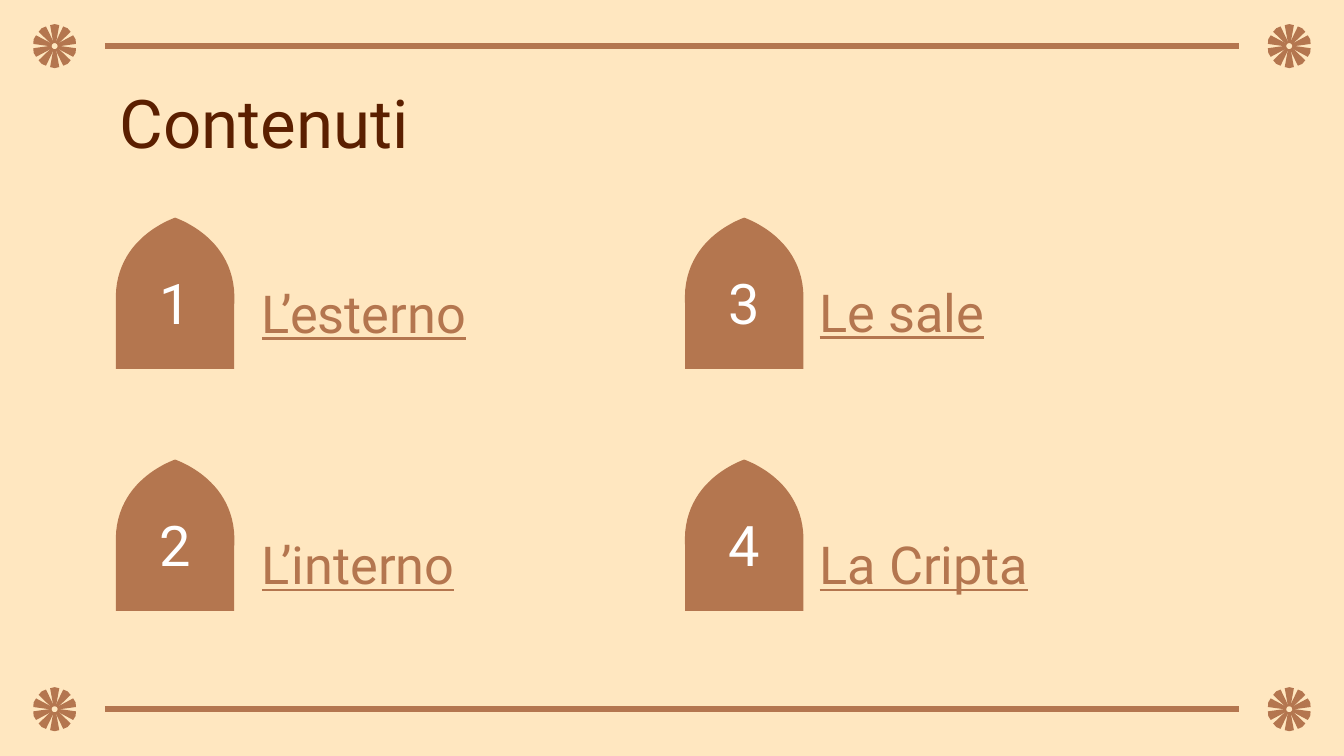
from math import cos, radians, sin

from lxml import etree
from pptx import Presentation
from pptx.dml.color import RGBColor
from pptx.enum.shapes import MSO_CONNECTOR
from pptx.enum.text import MSO_ANCHOR, MSO_AUTO_SIZE, PP_ALIGN
from pptx.oxml.ns import qn
from pptx.util import Inches, Pt

STRAIGHT = MSO_CONNECTOR.STRAIGHT
MIDDLE = MSO_ANCHOR.MIDDLE
NO_AUTOFIT = MSO_AUTO_SIZE.NONE
LEFT, CENTER = PP_ALIGN.LEFT, PP_ALIGN.CENTER

# The grid has square cells: 100 columns by 56.25 rows
CELL = Inches(0.1)
COLUMNS, ROWS = 100, 56.25
TITLE_ONLY = 5


def grid(cells):
    return round(cells * CELL)


def color(hex_string):
    return RGBColor.from_string(hex_string)


def curve(start, control_1, control_2, end, steps=24):
    """Points along a cubic curve, without its start."""
    points = []
    for step in range(1, steps + 1):
        t = step / steps
        weights = ((1 - t) ** 3, 3 * t * (1 - t) ** 2, 3 * t * t * (1 - t), t ** 3)
        corners = (start, control_1, control_2, end)
        points.append(tuple(sum(w * corner[axis] for w, corner in zip(weights, corners))
                            for axis in (0, 1)))
    return points


class ContentsSlide:
    FONT = "Roboto"
    BACKGROUND = "FFE7C0"
    CLAY = "B4764F"
    BROWN = "5B1F00"
    WHITE = "FFFFFF"

    def __init__(self, presentation):
        self.slide = presentation.slides.add_slide(presentation.slide_layouts[TITLE_ONLY])
        self.shapes = self.slide.shapes
        fill = self.slide.background.fill
        fill.solid()
        fill.fore_color.rgb = color(self.BACKGROUND)

    def format_text(self, shape, text, size, text_color, alignment=LEFT, underline=False):
        frame = shape.text_frame
        frame.text = text
        frame.word_wrap = True
        frame.auto_size = NO_AUTOFIT
        frame.vertical_anchor = MIDDLE
        frame.margin_left = frame.margin_right = grid(1)
        frame.margin_top = frame.margin_bottom = grid(1)
        paragraph = frame.paragraphs[0]
        paragraph.alignment = alignment
        font = paragraph.runs[0].font
        font.name = self.FONT
        font.size = Pt(size)
        font.underline = underline
        font.color.rgb = color(text_color)

    def title(self, text, left, top, width, height):
        shape = self.shapes.title
        shape.left, shape.top = grid(left), grid(top)
        shape.width, shape.height = grid(width), grid(height)
        self.format_text(shape, text, 36, self.BROWN)

    def text(self, text, left, top, width, height, **style):
        box = self.shapes.add_textbox(grid(left), grid(top), grid(width), grid(height))
        self.format_text(box, text, **style)

    def outline(self, shapes, points):
        corners = [(grid(x), grid(y)) for x, y in points]
        builder = shapes.build_freeform(*corners[0], scale=1.0)
        builder.add_line_segments(corners[1:], close=True)
        shape = builder.convert_to_shape()
        shape.shadow.inherit = False
        shape.fill.solid()
        shape.fill.fore_color.rgb = color(self.CLAY)
        shape.line.fill.background()

    def rule(self, left, right, y):
        line = self.shapes.add_connector(STRAIGHT, grid(left), grid(y), grid(right), grid(y))
        line.line.color.rgb = color(self.CLAY)
        line.line.width = Pt(3)
        etree.SubElement(line._element.spPr, qn("a:effectLst"))

    def rosette(self, center_x, center_y, petals=10):
        # One upright petal as (sideways, outward), turned around the centre
        petal = ((-0.1, 0.22), (-0.34, 1.56), (0, 1.64), (0.34, 1.56), (0.1, 0.22))
        group = self.shapes.add_group_shape()
        for index in range(petals):
            angle = radians(index * 360 / petals)
            self.outline(group.shapes, [
                (center_x + side * cos(angle) + out * sin(angle),
                 center_y + side * sin(angle) - out * cos(angle))
                for side, out in petal])

    def arch(self, center_x, top):
        # Left half from the tip down to the foot, then its mirror image
        half = [(0, 0), *curve((0, 0), (-0.95, 0.35), (-4.65, 2), (-4.4, 6.4)), (-4.4, 11.25)]
        mirrored = [(-x, y) for x, y in reversed(half[1:])]
        self.outline(self.shapes, [(center_x + x, top + y) for x, y in half + mirrored])

    def entry(self, number, label, center_x, top, label_left, label_top):
        self.arch(center_x, top)
        self.text(number, center_x - 3.75, top + 3.85, 7.5, 4.9,
                  size=30, text_color=self.WHITE, alignment=CENTER)
        self.text(label, label_left, label_top, 26.3, 4.9,
                  size=28, text_color=self.CLAY, underline=True)


def main():
    presentation = Presentation()
    presentation.slide_width, presentation.slide_height = grid(COLUMNS), grid(ROWS)
    contents = ContentsSlide(presentation)

    # Frame: a rule between two rosettes, above and below
    for y in (3.43, 52.77):
        contents.rule(7.8, COLUMNS - 7.8, y)
        for x in (4.07, COLUMNS - 4.07):
            contents.rosette(x, y)

    contents.title("Contenuti", 7.9, 5.9, 84.3, 6.3)

    # Numbered arches with their chapter names
    entries = (
        ("1", "L’esterno", 13.03, 16.2, 18.5, 20.8),
        ("2", "L’interno", 13.03, 34.2, 18.5, 39.5),
        ("3", "Le sale", 55.37, 16.2, 60, 20.7),
        ("4", "La Cripta", 55.37, 34.2, 60, 39.5),
    )
    for entry in entries:
        contents.entry(*entry)

    presentation.save("out.pptx")


if __name__ == "__main__":
    main()
